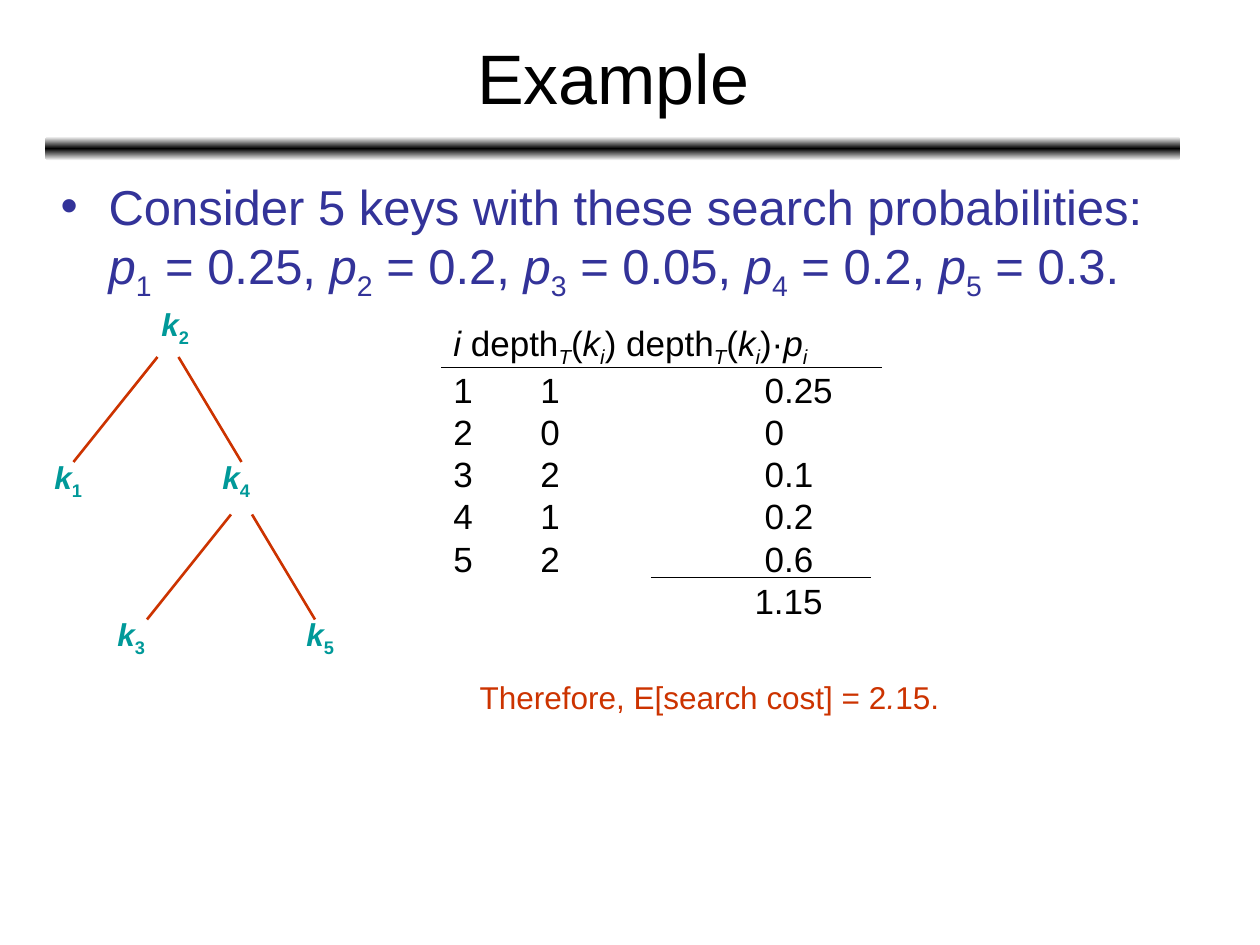
from copy import deepcopy
from lxml.etree import SubElement
from pptx import Presentation
from pptx.dml.color import RGBColor
from pptx.enum.shapes import MSO_CONNECTOR, MSO_SHAPE
from pptx.enum.text import MSO_ANCHOR, PP_ALIGN
from pptx.oxml.ns import qn
from pptx.util import Inches, Pt

BLACK, NAVY, TEAL, RED = "000000", "333399", "009999", "CC3300"
rgb = RGBColor.from_string

prs = Presentation()
prs.slide_width, prs.slide_height = Inches(10), Inches(7.5)
slide = prs.slides.add_slide(prs.slide_layouts[6])
U = prs.slide_width // 120  # square grid of 120 columns and 90 rows


def add_text(x, y, w, h, lines, size, color, bold=False):
    """Lines hold (text, style) runs; in a style, i is italic and s is subscript."""
    s = slide.shapes.add_textbox(int(x * U), int(y * U), int(w * U), int(h * U))
    tf = s.text_frame
    tf.word_wrap = True
    for n, line in enumerate(lines):
        p = tf.paragraphs[0] if n == 0 else tf.add_paragraph()
        for text, style in line:
            if text == "\n":
                p.add_line_break()
                continue
            r = p.add_run()
            r.text = text
            r.font.name, r.font.size, r.font.bold = "Arial", Pt(size), bold
            r.font.italic = "i" in style
            r.font.color.rgb = rgb(color)
            if "s" in style:
                r._r.get_or_add_rPr().set("baseline", "-25000")
    return tf


def add_line(x1, y1, x2, y2, color, width):
    c = slide.shapes.add_connector(
        MSO_CONNECTOR.STRAIGHT, x1 * U, y1 * U, x2 * U, y2 * U)
    c.line.color.rgb = rgb(color)
    c.line.width = Pt(width)
    SubElement(c._element.spPr, qn("a:effectLst"))


# Title and the bar under it
tf = add_text(4.4, 1.3, 108, 11.9, [[("Example", "")]], 40, BLACK)
tf.vertical_anchor = MSO_ANCHOR.MIDDLE
tf.paragraphs[0].alignment = PP_ALIGN.CENTER

bar = slide.shapes.add_shape(
    MSO_SHAPE.ROUNDED_RECTANGLE, int(4.3 * U), int(13 * U), int(108.1 * U), int(2.3 * U))
bar.shadow.inherit = False
bar.line.fill.background()
bar.fill.gradient()
bar.fill.gradient_angle = 90
stop_list = next(bar._element.iter(qn("a:gsLst")))
stop_list.insert(1, deepcopy(stop_list[0]))
for stop, position, color in zip(bar.fill.gradient_stops, (0, 0.5, 1),
                                 ("FFFFFF", BLACK, "FFFFFF")):
    stop.position = position
    stop.color.rgb = rgb(color)

# Search probabilities
runs = [("Consider 5 keys with these search probabilities:", ""), ("\n", "")]
for key, value in enumerate(("0.25, ", "0.2, ", "0.05, ", "0.2, ", "0.3."), 1):
    runs += [("p", "i"), (str(key), "s"), (f" = {value}", "")]
tf = add_text(4.6, 16.2, 108, 66.6, [runs], 28, NAVY)
pPr = tf.paragraphs[0]._p.get_or_add_pPr()
pPr.set("marL", str(Inches(0.38)))
pPr.set("indent", str(-Inches(0.38)))
SubElement(pPr, qn("a:buFont"), typeface="Arial")
SubElement(pPr, qn("a:buChar"), char="•")

# Search tree
for x, y in ((15, 34), (22, 49)):
    add_line(x, y, x - 8, y + 10, RED, 1.5)
    add_line(x + 2, y, x + 8, y + 10, RED, 1.5)
for key, x, y in ((2, 14.2, 28.5), (1, 4, 43), (4, 20, 43), (3, 10, 58), (5, 28, 58)):
    add_text(x, y, 6.2, 5.3, [[("k", "i"), (str(key), "s")]], 18, TEAL, bold=True)

# Depth of each key and its weighted sum
depth = [("depth", ""), ("T", "is"), ("(", ""), ("k", "i"), ("i", "is")]
header = [("i ", "i"), *depth, (") ", ""), *depth, (")·", ""), ("p", "i"), ("i", "is")]
rows = [(1, 1, "0.25"), (2, 0, "0"), (3, 2, "0.1"), (4, 1, "0.2"), (5, 2, "0.6")]
lines = [[(f"{key}\t{level}\t{cost}", "")] for key, level, cost in rows]
tf = add_text(42, 30, 60, 29.8, [header, *lines, [("\t1.15", "")]], 20, BLACK)
for p in tf.paragraphs[1:]:
    tabs = SubElement(p._p.get_or_add_pPr(), qn("a:tabLst"))
    for stop in ((2.39,) if p is tf.paragraphs[-1] or p.text == "\t1.15" else (0.69, 2.47)):
        SubElement(tabs, qn("a:tab"), pos=str(Inches(stop)), algn="l")
add_line(42, 35, 84, 35, BLACK, 1)
add_line(62, 55, 83, 55, BLACK, 1)

# Conclusion
add_text(44.5, 64, 46.2, 4.8,
         [[("Therefore, E[search cost] = 2", ""), (".", "i"), ("15.", "")]],
         18, RED).word_wrap = False

prs.save("out.pptx")
